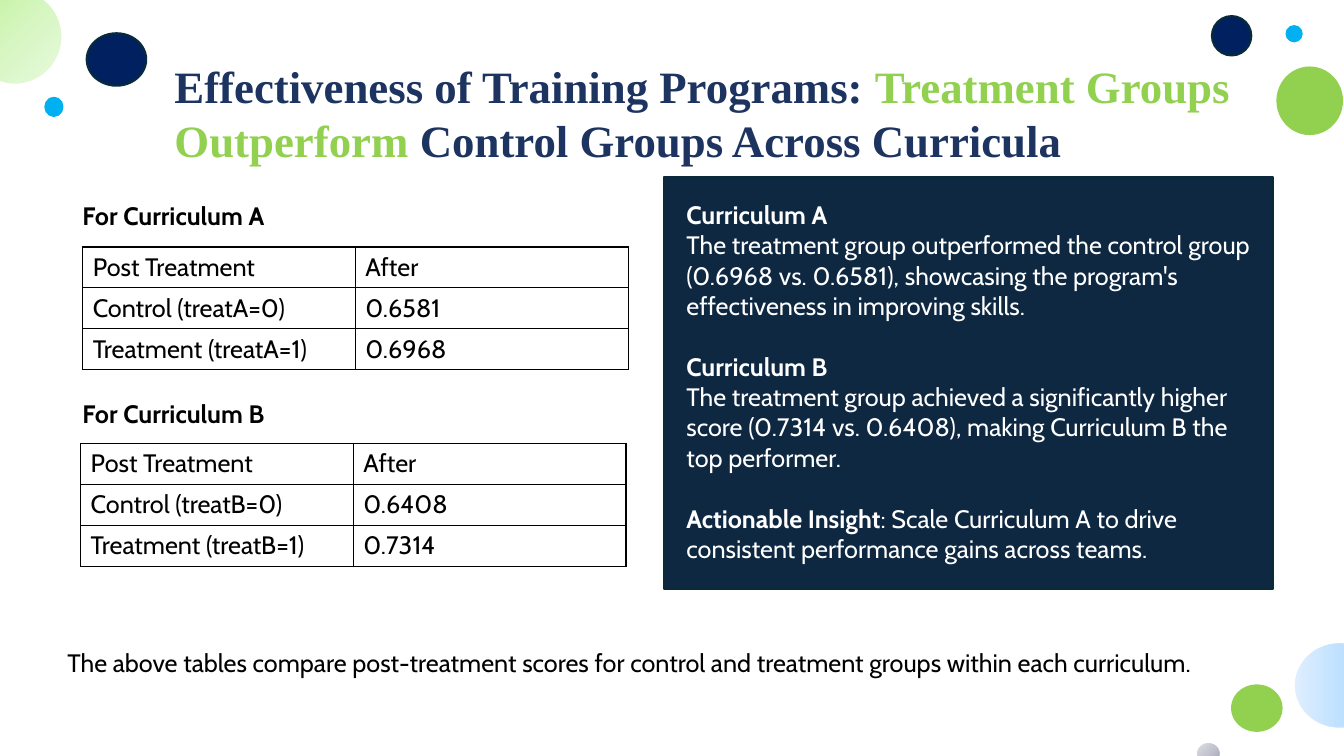
"""Build the slide comparing treatment and control scores for two curricula."""
from dataclasses import dataclass

from lxml import etree
from pptx import Presentation
from pptx.dml.color import RGBColor
from pptx.enum.shapes import MSO_SHAPE as Shape
from pptx.enum.text import MSO_ANCHOR as Anchor, MSO_AUTO_SIZE as AutoSize, PP_ALIGN as Align
from pptx.oxml import parse_xml
from pptx.oxml.ns import nsdecls, qn
from pptx.util import Inches, Pt


@dataclass(frozen=True)
class Theme:
    heading: str = "Times New Roman"
    body: str = "Cabin"
    title_size: int = 32
    body_size: int = 18
    gap: int = 22
    outline: float = 1.5
    black: str = "000000"
    white: str = "FFFFFF"
    title: str = "1D3461"
    green: str = "92D050"
    navy: str = "002060"
    sky: str = "00B0F0"
    edge: str = "092A39"
    panel: str = "0E2841"
    blue_fade: tuple = ("96D0FF", "BFE1FF", "E0EFFF")
    grey_fade: tuple = ("9B9DB1", "C3C4CF", "E2E2E7")
    green_fade: tuple = ("BEF297", "D5F6C0", "EAFAE0")


theme = Theme()


def write(para, text, font=theme.body, size=theme.body_size, color=theme.black, bold=False):
    span = para.add_run()
    span.text = text
    span.font.name = font
    span.font.size = Pt(size)
    span.font.bold = bold
    span.font.color.rgb = RGBColor.from_string(color)


def draw(kind, place, fill, line, direction=""):
    shape = page.shapes.add_shape(kind, *map(Inches, place))
    shape.shadow.inherit = False
    shape.line.color.rgb = RGBColor.from_string(line)
    shape.line.width = Pt(theme.outline)
    if direction:
        stops = "".join(f'<a:gs pos="{index * 50000}"><a:srgbClr val="{color}"/></a:gs>'
                        for index, color in enumerate(fill))
        gradient = parse_xml(f'<a:gradFill {nsdecls("a")} rotWithShape="1">'
                             f'<a:gsLst>{stops}</a:gsLst>{direction}</a:gradFill>')
        shape._element.spPr.find(qn("a:prstGeom")).addnext(gradient)
    else:
        shape.fill.solid()
        shape.fill.fore_color.rgb = RGBColor.from_string(fill)


deck = Presentation()
deck.slide_width, deck.slide_height = Inches(13.33), Inches(7.5)
page = deck.slides.add_slide(deck.slide_layouts[5])

leftward = '<a:lin ang="10800000" scaled="0"/>'
from_bottom_right = '<a:path path="circle"><a:fillToRect l="100000" t="100000"/></a:path>'
from_top_left = '<a:path path="circle"><a:fillToRect r="100000" b="100000"/></a:path>'
bubbles = [
    ((12.67, 0.67, 0.64, 0.66), theme.green, theme.green),
    ((12.02, 0.16, 0.39, 0.39), theme.navy, theme.edge),
    ((12.76, 0.26, 0.15, 0.15), theme.sky, theme.sky),
    ((12.83, 6.37, 0.91, 0.86), theme.blue_fade, theme.white, leftward),
    ((12.22, 6.8, 0.49, 0.45), theme.green, theme.green),
    ((11.86, 7.36, 0.25, 0.23), theme.grey_fade, theme.white, from_bottom_right),
    ((-0.32, -0.11, 0.94, 0.95), theme.green_fade, theme.white, from_top_left),
    ((0.86, 0.33, 0.59, 0.52), theme.navy, theme.edge),
    ((0.45, 0.97, 0.17, 0.18), theme.sky, theme.sky),
]
for bubble in bubbles:
    draw(Shape.OVAL, *bubble)

title = page.shapes.title
title.left, title.top, title.width, title.height = map(Inches, (1.63, 0.65, 10.86, 0.94))
title.text_frame.word_wrap = True
title.text_frame.auto_size = AutoSize.NONE
title.text_frame.vertical_anchor = Anchor.MIDDLE
headline = title.text_frame.paragraphs[0]
headline.alignment = Align.LEFT
for text, color in [("Effectiveness of Training Programs: ", theme.title),
                    ("Treatment Groups Outperform", theme.green),
                    (" Control Groups Across Curricula", theme.title)]:
    write(headline, text, font=theme.heading, size=theme.title_size, color=color, bold=True)

curricula = [("A", 0.82, 2.45, "0.6581", "0.6968"), ("B", 0.8, 4.4, "0.6408", "0.7314")]
for letter, left, top, control, treatment in curricula:
    rows = [("Post Treatment", "After"),
            (f"Control (treat{letter}=0)", control),
            (f"Treatment (treat{letter}=1)", treatment)]
    table = page.shapes.add_table(3, 2, *map(Inches, (left, top, 5.41, 1.2))).table
    table.first_row = table.horz_banding = False
    for row_index, row in enumerate(rows):
        for column_index, text in enumerate(row):
            cell = table.cell(row_index, column_index)
            cell.vertical_anchor = Anchor.MIDDLE
            cell.fill.background()
            write(cell.text_frame.paragraphs[0], text)
            properties = cell._tc.get_or_add_tcPr()
            for position, side in enumerate(("lnL", "lnR", "lnT", "lnB")):
                border = etree.Element(qn(f"a:{side}"), w=str(Pt(1)))
                fill = etree.SubElement(border, qn("a:solidFill"))
                etree.SubElement(fill, qn("a:srgbClr"), val=theme.black)
                properties.insert(position, border)

draw(Shape.RECTANGLE, (6.59, 1.76, 6.04, 4.08), theme.panel, theme.edge)

findings = [
    [("Curriculum A", True)],
    [("The treatment group outperformed the control group (0.6968 vs. 0.6581), "
      "showcasing the program's effectiveness in improving skills.", False)],
    [("Curriculum B", True)],
    [("The treatment group achieved a significantly higher score (0.7314 vs. 0.6408), "
      "making Curriculum B the top performer.", False)],
    [("Actionable Insight", True),
     (": Scale Curriculum A to drive consistent performance gains across teams.", False)],
]
summary = ("The above tables compare post-treatment scores for control and treatment "
           "groups within each curriculum.")
text_boxes = [
    ((0.57, 6.37, 11.73, 0.4), theme.black, [[(summary, False)]]),
    ((0.72, 1.94, 3, 0.4), theme.black, [[("For Curriculum A", True)]]),
    ((0.72, 3.9, 3, 0.4), theme.black, [[("For Curriculum B", True)]]),
    ((6.71, 1.93, 5.83, 3.74), theme.white, findings),
]
for place, color, paragraphs in text_boxes:
    frame = page.shapes.add_textbox(*map(Inches, place)).text_frame
    frame.word_wrap = True
    for index, spans in enumerate(paragraphs):
        para = frame.add_paragraph() if index else frame.paragraphs[0]
        if index and spans[0][1]:
            para.space_before = Pt(theme.gap)
        for text, bold in spans:
            write(para, text, color=color, bold=bold)

deck.save("out.pptx")
